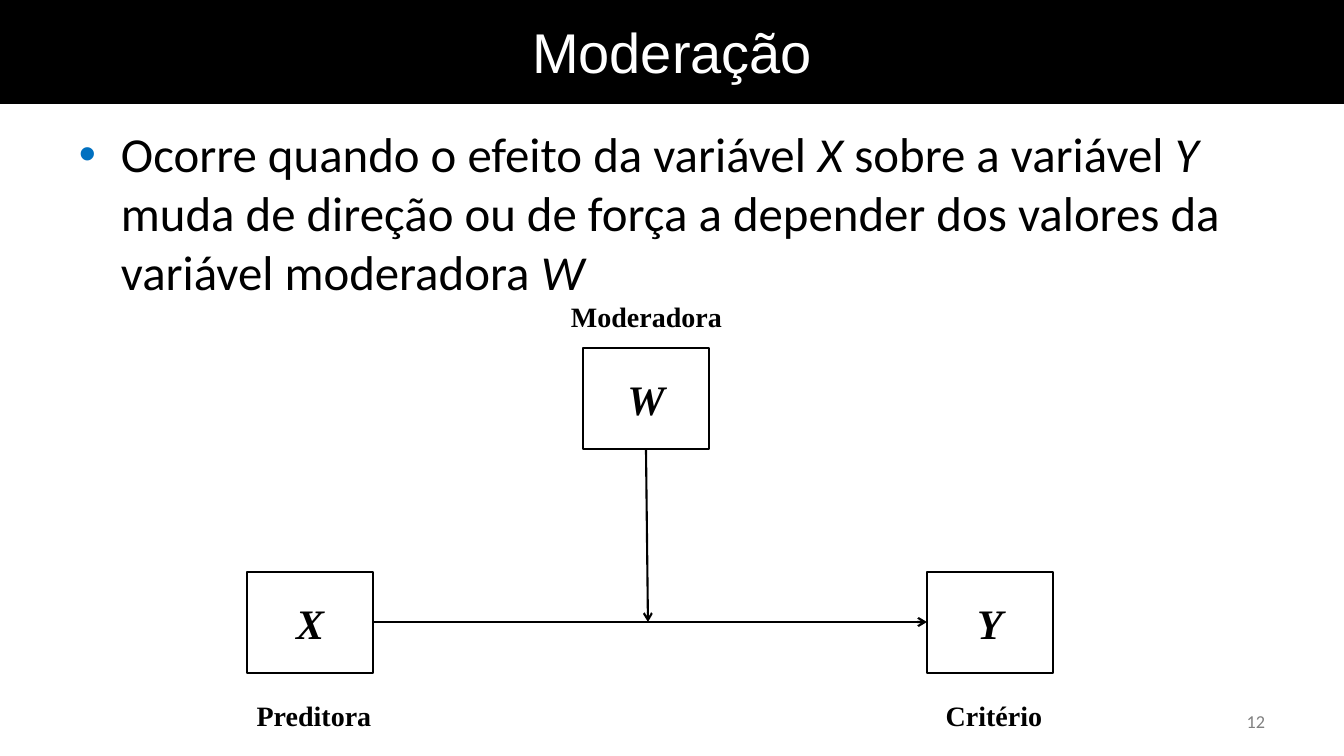
"""Build the slide that explains moderation with a path diagram."""
import lxml.etree
import pptx
import pptx.dml.color
import pptx.enum.shapes
import pptx.enum.text
import pptx.oxml.ns
import pptx.util

BLACK = pptx.dml.color.RGBColor(0x00, 0x00, 0x00)
WHITE = pptx.dml.color.RGBColor(0xFF, 0xFF, 0xFF)
GRAY = pptx.dml.color.RGBColor(0x80, 0x80, 0x80)
BULLET_BLUE = pptx.dml.color.RGBColor(0x00, 0x70, 0xC0)
EMU_PER_PIXEL = 914400 / 100.8
BOX_WIDTH, BOX_HEIGHT = 126, 101
SERIF = "Times New Roman"
ALIGN = pptx.enum.text.PP_ALIGN
ANCHOR = pptx.enum.text.MSO_ANCHOR


def px(*lengths):
    """Turn pixel lengths into a list of EMU lengths."""
    return [pptx.util.Emu(round(length * EMU_PER_PIXEL)) for length in lengths]


def add_xml(parent, tag, **attributes):
    """Append a DrawingML element to its parent and return it."""
    return lxml.etree.SubElement(parent, pptx.oxml.ns.qn(tag), attributes)


def add_run(paragraph, text, size, font, color, bold=False, italic=False):
    """Add one formatted run to a paragraph."""
    run = paragraph.add_run()
    run.text = text
    run.font.size = pptx.util.Pt(size)
    run.font.name = font
    run.font.color.rgb = color
    run.font.bold = bold
    run.font.italic = italic


def prepare_text(shape, align, anchor, inset_x=0, inset_y=0):
    """Set up the text frame of a shape and return its first paragraph."""
    frame = shape.text_frame
    frame.word_wrap = True
    frame.vertical_anchor = anchor
    frame.margin_left, frame.margin_right = px(inset_x, inset_x)
    frame.margin_top, frame.margin_bottom = px(inset_y, inset_y)
    paragraph = frame.paragraphs[0]
    paragraph.alignment = align
    return paragraph


def add_rectangle(slide, place, fill=None):
    """Add a black-edged rectangle and return its centred paragraph."""
    kind = pptx.enum.shapes.MSO_SHAPE.RECTANGLE
    rectangle = slide.shapes.add_shape(kind, *px(*place))
    rectangle.shadow.inherit = False
    if fill is None:
        rectangle.fill.background()
    else:
        rectangle.fill.solid()
        rectangle.fill.fore_color.rgb = fill
    rectangle.line.color.rgb = BLACK
    rectangle.line.width = pptx.util.Pt(2)
    return prepare_text(rectangle, ALIGN.CENTER, ANCHOR.MIDDLE)


def add_variable(slide, symbol, left, top, role, role_place):
    """Add a variable box with the label of its role."""
    box = add_rectangle(slide, (left, top, BOX_WIDTH, BOX_HEIGHT))
    add_run(box, symbol, 30, SERIF, BLACK, bold=True, italic=True)
    label = slide.shapes.add_textbox(*px(*role_place))
    paragraph = prepare_text(label, ALIGN.CENTER, ANCHOR.MIDDLE)
    add_run(paragraph, role, 20, SERIF, BLACK, bold=True)


def add_arrow(slide, start, end):
    """Add an effect arrow between two points."""
    straight = pptx.enum.shapes.MSO_CONNECTOR.STRAIGHT
    arrow = slide.shapes.add_connector(straight, *px(*start, *end))
    arrow.line.color.rgb = BLACK
    arrow.line.width = pptx.util.Pt(1.5)
    add_xml(arrow.line._get_or_add_ln(), "a:tailEnd", type="arrow")
    add_xml(arrow._element.spPr, "a:effectLst")


def add_definition(slide, place, pieces):
    """Add the bulleted definition from (text, italic) pieces."""
    definition = slide.shapes.add_textbox(*px(*place))
    paragraph = prepare_text(definition, ALIGN.LEFT, ANCHOR.TOP, 11, 6)
    paragraph.space_before = pptx.util.Pt(7.2)
    properties = paragraph._p.get_or_add_pPr()
    indent = px(42)[0]
    properties.set("marL", str(indent))
    properties.set("indent", str(-indent))
    add_xml(add_xml(properties, "a:buClr"), "a:srgbClr", val=str(BULLET_BLUE))
    add_xml(properties, "a:buFont", typeface="Arial")
    add_xml(properties, "a:buChar", char="•")
    for text, italic in pieces:
        add_run(paragraph, text, 34.9, "Calibri", BLACK, italic=italic)


def main():
    """Build and save the slide."""
    presentation = pptx.Presentation()
    presentation.slide_width, presentation.slide_height = px(1344, 756)
    slide = presentation.slides.add_slide(presentation.slide_layouts[6])

    title = add_rectangle(slide, (0, 0, 1344, 103), BLACK)
    add_run(title, "Moderação", 40, "Arial", WHITE)
    add_definition(slide, (68, 118, 1235, 622), [
        ("Ocorre quando o efeito da variável ", False),
        ("X ", True),
        ("sobre a variável ", False),
        ("Y ", True),
        ("muda de direção ou de força a depender dos valores da "
         "variável moderadora ", False),
        ("W", True),
    ])
    page_number = slide.shapes.add_textbox(*px(963, 701, 313, 40))
    paragraph = prepare_text(page_number, ALIGN.RIGHT, ANCHOR.MIDDLE, 11, 6)
    add_run(paragraph, "12", 13, "Calibri", GRAY)

    predictor_left, criterion_left, row_top = 247, 927, 572
    moderator_left, moderator_top = 583, 348
    effect_y = row_top + BOX_HEIGHT // 2
    for symbol, left, top, role, role_place in (
        ("X", predictor_left, row_top, "Preditora", (188, 681, 252, 68)),
        ("Y", criterion_left, row_top, "Critério", (868, 681, 252, 68)),
        ("W", moderator_left, moderator_top, "Moderadora", (561, 295, 171, 43)),
    ):
        add_variable(slide, symbol, left, top, role, role_place)
    add_arrow(slide, (predictor_left + BOX_WIDTH, effect_y),
              (criterion_left, effect_y))
    add_arrow(slide, (moderator_left + BOX_WIDTH // 2, moderator_top + BOX_HEIGHT),
              (648, effect_y))
    presentation.save("out.pptx")


main()
